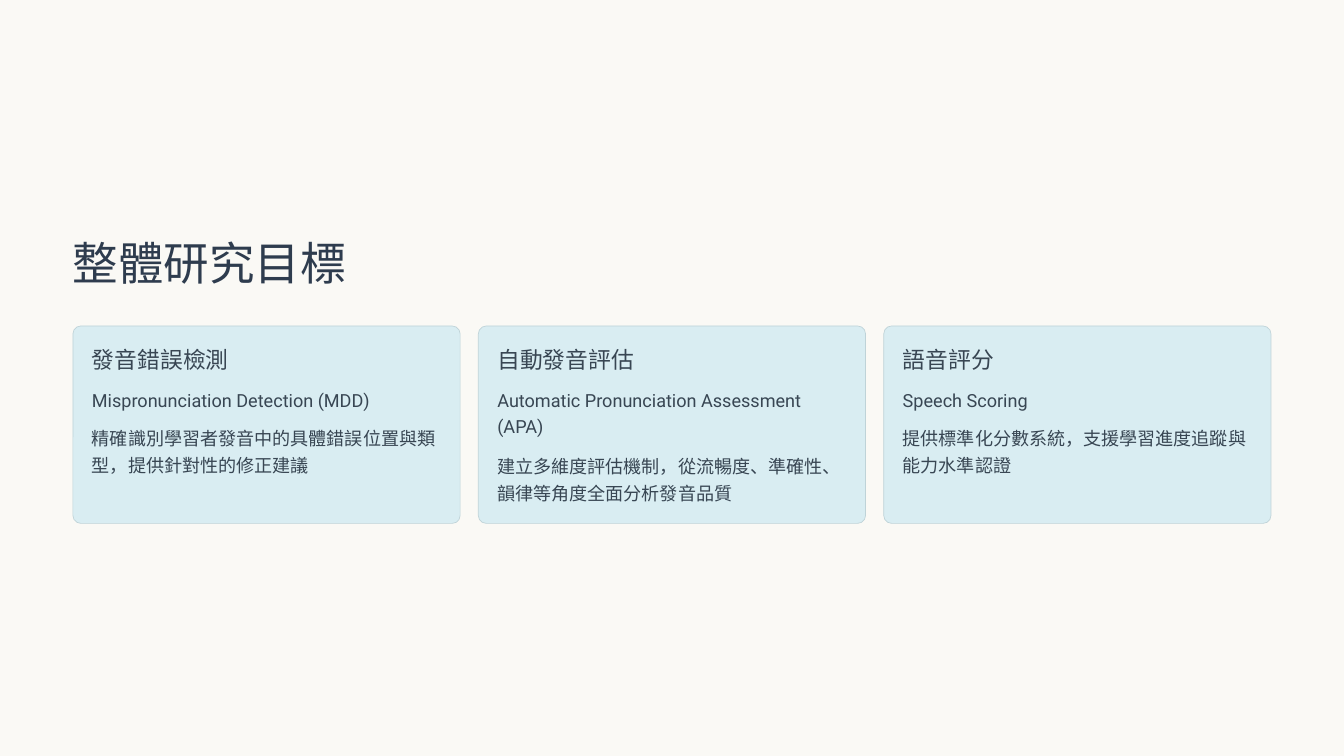
from dataclasses import dataclass

from pptx import Presentation
from pptx.dml.color import RGBColor
from pptx.enum.shapes import MSO_SHAPE
from pptx.enum.text import MSO_ANCHOR, MSO_AUTO_SIZE, PP_ALIGN
from pptx.util import Pt

ROUNDED = MSO_SHAPE.ROUNDED_RECTANGLE
TOP = MSO_ANCHOR.TOP
LEFT = PP_ALIGN.LEFT
NO_FIT = MSO_AUTO_SIZE.NONE
TITLE_ONLY = 5


@dataclass(frozen=True)
class Theme:
    background: str = "FAF9F5"
    card: str = "D9EDF2"
    border: str = "BFD3D8"
    title: tuple = ("Calibri", 39, "2E3C4E", 48.5)
    heading: tuple = ("Calibri", 19.5, "384653", 24)
    body: tuple = ("Roboto", 15.5, "384653", 23)


class Deck:
    def __init__(self, theme):
        self.theme = theme
        self.prs = Presentation()
        self.prs.slide_width, self.prs.slide_height = Pt(1152), Pt(648)

    def add_slide(self):
        self.s = self.prs.slides.add_slide(self.prs.slide_layouts[TITLE_ONLY])
        self.fill(self.s.background.fill, self.theme.background)

    def fill(self, fill, color):
        fill.solid()
        fill.fore_color.rgb = RGBColor.from_string(color)

    def set_text(self, sp, text, style, wrap=True):
        font, size, color, spacing = style
        tf = sp.text_frame
        frame = {"margin_left": 0, "margin_top": 0, "margin_right": 0, "margin_bottom": 0,
                 "word_wrap": wrap, "auto_size": NO_FIT, "vertical_anchor": TOP}
        for name, value in frame.items():
            setattr(tf, name, value)
        p = tf.paragraphs[0]
        p.alignment, p.line_spacing = LEFT, Pt(spacing)
        r = p.add_run()
        r.text = text
        for name, value in {"name": font, "size": Pt(size)}.items():
            setattr(r.font, name, value)
        r.font.color.rgb = RGBColor.from_string(color)

    def title(self, text, left, top, width, height):
        sp = self.s.shapes.title
        box = {"left": left, "top": top, "width": width, "height": height}
        for name, value in box.items():
            setattr(sp, name, Pt(value))
        self.set_text(sp, text, self.theme.title, wrap=False)

    def text(self, text, style, left, top, width, height, wrap=True):
        sp = self.s.shapes.add_textbox(Pt(left), Pt(top), Pt(width), Pt(height))
        self.set_text(sp, text, style, wrap)

    def panel(self, left, top, width, height):
        sp = self.s.shapes.add_shape(ROUNDED, Pt(left), Pt(top), Pt(width), Pt(height))
        sp.adjustments[0] = 0.04
        sp.shadow.inherit = False
        self.fill(sp.fill, self.theme.card)
        self.fill(sp.line.fill, self.theme.border)
        sp.line.width = Pt(0.6)

    def card(self, left, top, heading, term, term_lines, detail):
        line = 23.6
        inner = left + 16.3
        detail_top = top + 59.2 + line * term_lines
        self.panel(left, top, 331.9, 169.2)
        self.text(heading, self.theme.heading, inner, top + 16.5, 195, 24.5, wrap=False)
        self.text(term, self.theme.body, inner, top + 49.7, 299.5, line * term_lines)
        self.text(detail, self.theme.body, inner, detail_top, 299.5, line * 2)


GOALS = [
    ("發音錯誤檢測", "Mispronunciation Detection (MDD)", 1,
     "精確識別學習者發音中的具體錯誤位置與類型，提供針對性的修正建議"),
    ("自動發音評估", "Automatic Pronunciation Assessment (APA)", 2,
     "建立多維度評估機制，從流暢度、準確性、韻律等角度全面分析發音品質"),
    ("語音評分", "Speech Scoring", 1,
     "提供標準化分數系統，支援學習進度追蹤與能力水準認證"),
]


def main():
    deck = Deck(Theme())
    deck.add_slide()
    left, pitch = 62.5, 347.5
    deck.title("整體研究目標", left, 199.4, 391, 49)
    for i, goal in enumerate(GOALS):
        deck.card(left + i * pitch, 279.4, *goal)
    deck.prs.save("out.pptx")


if __name__ == "__main__":
    main()
